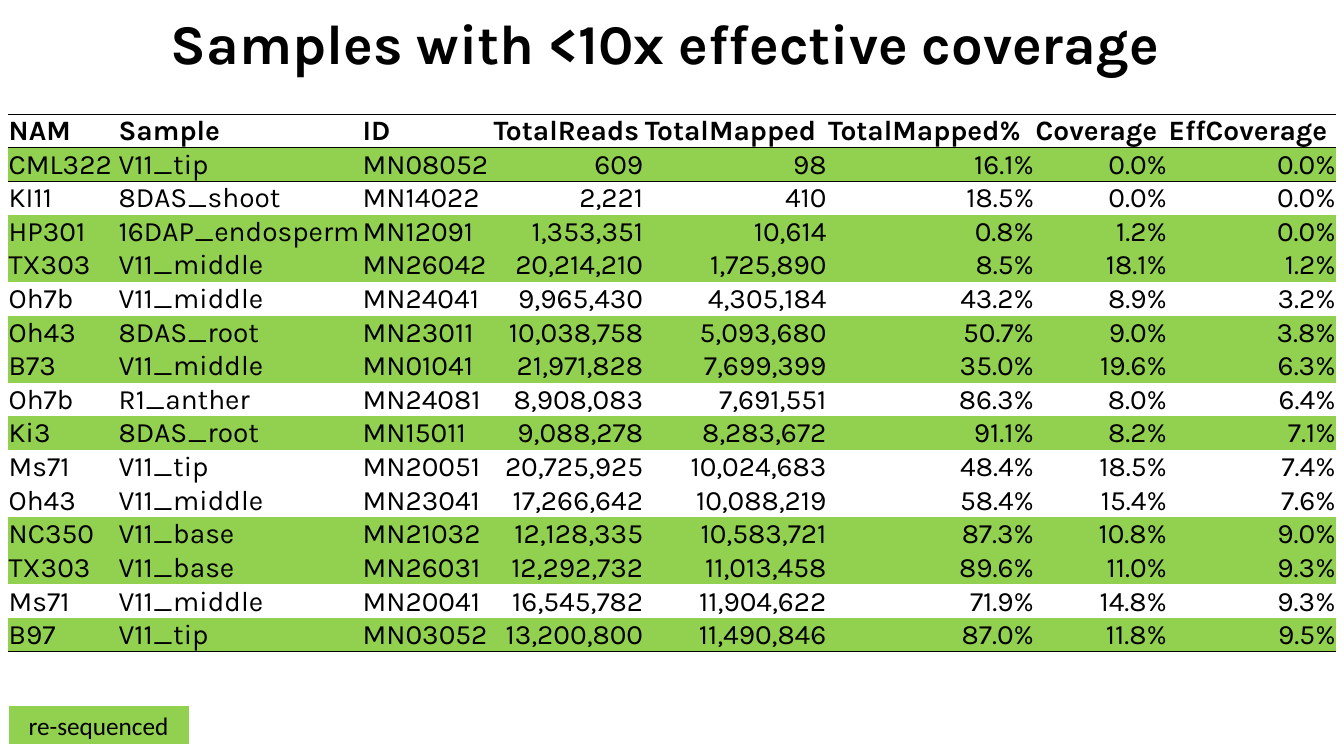
from dataclasses import dataclass

from lxml.etree import SubElement
from pptx import Presentation
from pptx.dml.color import RGBColor
from pptx.enum.shapes import MSO_SHAPE as Shape
from pptx.enum.text import MSO_ANCHOR as Anchor, MSO_AUTO_SIZE as Fit, PP_ALIGN as Align
from pptx.oxml.ns import qn
from pptx.slide import Slide
from pptx.table import _Cell as Cell
from pptx.text.text import _Paragraph as Para
from pptx.util import Cm, Pt

BLACK = RGBColor(0x00, 0x00, 0x00)
WHITE = RGBColor(0xFF, 0xFF, 0xFF)
GREEN = RGBColor(0x92, 0xD0, 0x50)
PLAIN = "{2D5ABB26-0587-4C30-8999-92F81FD0307C}"  # table style without grid


@dataclass
class Column:
    head: str
    width: float
    align: Align = Align.RIGHT


@dataclass
class Sample:
    text: str
    redone: bool = True


COLUMNS = [
    Column("NAM", 2.77, Align.LEFT),
    Column("Sample", 6.15, Align.LEFT),
    Column("ID", 3.3, Align.LEFT),
    Column("TotalReads", 3.81),
    Column("TotalMapped", 4.62),
    Column("TotalMapped%", 5.23),
    Column("Coverage", 3.35),
    Column("EffCoverage", 4.25),
]
SAMPLES = [
    Sample("CML322 V11_tip MN08052 609 98 16.1% 0.0% 0.0%"),
    Sample("KI11 8DAS_shoot MN14022 2,221 410 18.5% 0.0% 0.0%", False),
    Sample("HP301 16DAP_endosperm MN12091 1,353,351 10,614 0.8% 1.2% 0.0%"),
    Sample("TX303 V11_middle MN26042 20,214,210 1,725,890 8.5% 18.1% 1.2%"),
    Sample("Oh7b V11_middle MN24041 9,965,430 4,305,184 43.2% 8.9% 3.2%", False),
    Sample("Oh43 8DAS_root MN23011 10,038,758 5,093,680 50.7% 9.0% 3.8%"),
    Sample("B73 V11_middle MN01041 21,971,828 7,699,399 35.0% 19.6% 6.3%"),
    Sample("Oh7b R1_anther MN24081 8,908,083 7,691,551 86.3% 8.0% 6.4%", False),
    Sample("Ki3 8DAS_root MN15011 9,088,278 8,283,672 91.1% 8.2% 7.1%"),
    Sample("Ms71 V11_tip MN20051 20,725,925 10,024,683 48.4% 18.5% 7.4%", False),
    Sample("Oh43 V11_middle MN23041 17,266,642 10,088,219 58.4% 15.4% 7.6%", False),
    Sample("NC350 V11_base MN21032 12,128,335 10,583,721 87.3% 10.8% 9.0%"),
    Sample("TX303 V11_base MN26031 12,292,732 11,013,458 89.6% 11.0% 9.3%"),
    Sample("Ms71 V11_middle MN20041 16,545,782 11,904,622 71.9% 14.8% 9.3%", False),
    Sample("B97 V11_tip MN03052 13,200,800 11,490,846 87.0% 11.8% 9.5%"),
]


def style(para: Para, size: int, align: Align, face: str = "Karla", bold: bool = False) -> None:
    para.alignment = align
    font = para.font
    font.name, font.size, font.bold = face, Pt(size), bold
    font.color.rgb = BLACK


def rule(cell: Cell, side: str) -> None:
    """Draw a thin black border on one side, "T" or "B"."""
    line = SubElement(cell._tc.get_or_add_tcPr(), qn(f"a:ln{side}"), w=str(Pt(0.5)))
    fill = SubElement(line, qn("a:solidFill"))
    SubElement(fill, qn("a:srgbClr"), val=str(BLACK))


def fill_cell(cell: Cell, text: str, align: Align, fill: RGBColor,
              sides: str, bold: bool) -> None:
    for side in sides:
        rule(cell, side)
    cell.fill.solid()
    cell.fill.fore_color.rgb = fill
    cell.margin_left = cell.margin_right = cell.margin_top = Cm(0.02)
    cell.margin_bottom = 0
    cell.vertical_anchor = Anchor.BOTTOM
    cell.text = text
    style(cell.text_frame.paragraphs[0], 20, align, bold=bold)


def add_title(slide: Slide) -> None:
    title = slide.shapes.title
    title.left, title.top, title.width, title.height = Cm(2.16), 0, Cm(29.2), Cm(2.34)
    frame = title.text_frame
    frame.text = "Samples with <10x effective coverage"
    frame.auto_size, frame.word_wrap = Fit.NONE, True
    frame.vertical_anchor = Anchor.MIDDLE
    para = frame.paragraphs[0]
    para.line_spacing = 0.9
    style(para, 40, Align.CENTER, bold=True)


def add_grid(slide: Slide) -> None:
    last = len(SAMPLES)
    frame = slide.shapes.add_table(last + 1, len(COLUMNS), Cm(0.2), Cm(2.87),
                                   Cm(33.45), Cm(13.82))
    table = frame.table
    table.first_row = table.horz_banding = False
    frame.element.find(".//" + qn("a:tableStyleId")).text = PLAIN
    for row in table.rows:
        row.height = Cm(0.51)
    for col, spec in enumerate(COLUMNS):
        table.columns[col].width = Cm(spec.width)
        fill_cell(table.cell(0, col), spec.head, Align.LEFT, WHITE, "TB", True)
    for row, sample in enumerate(SAMPLES, 1):
        fill = GREEN if sample.redone else WHITE
        sides = {1: "T", last: "B"}.get(row, "")
        for col, text in enumerate(sample.text.split()):
            fill_cell(table.cell(row, col), text, COLUMNS[col].align, fill, sides, False)
    frame.height = Cm(13.82)


def add_key(slide: Slide) -> None:
    key = slide.shapes.add_shape(Shape.RECTANGLE, Cm(0.2), Cm(17.78), Cm(4.57), Cm(0.99))
    key.shadow.inherit = False
    key.fill.solid()
    key.fill.fore_color.rgb = GREEN
    key.line.color.rgb = WHITE
    key.line.width = Pt(1)
    frame = key.text_frame
    frame.text = "re-sequenced"
    frame.vertical_anchor = Anchor.MIDDLE
    style(frame.paragraphs[0], 18, Align.CENTER, "Calibri")


def main() -> None:
    deck = Presentation()
    deck.slide_width, deck.slide_height = Cm(33.87), Cm(19.05)
    slide = deck.slides.add_slide(deck.slide_layouts[5])
    add_title(slide)
    add_grid(slide)
    add_key(slide)
    deck.save("out.pptx")


if __name__ == "__main__":
    main()
